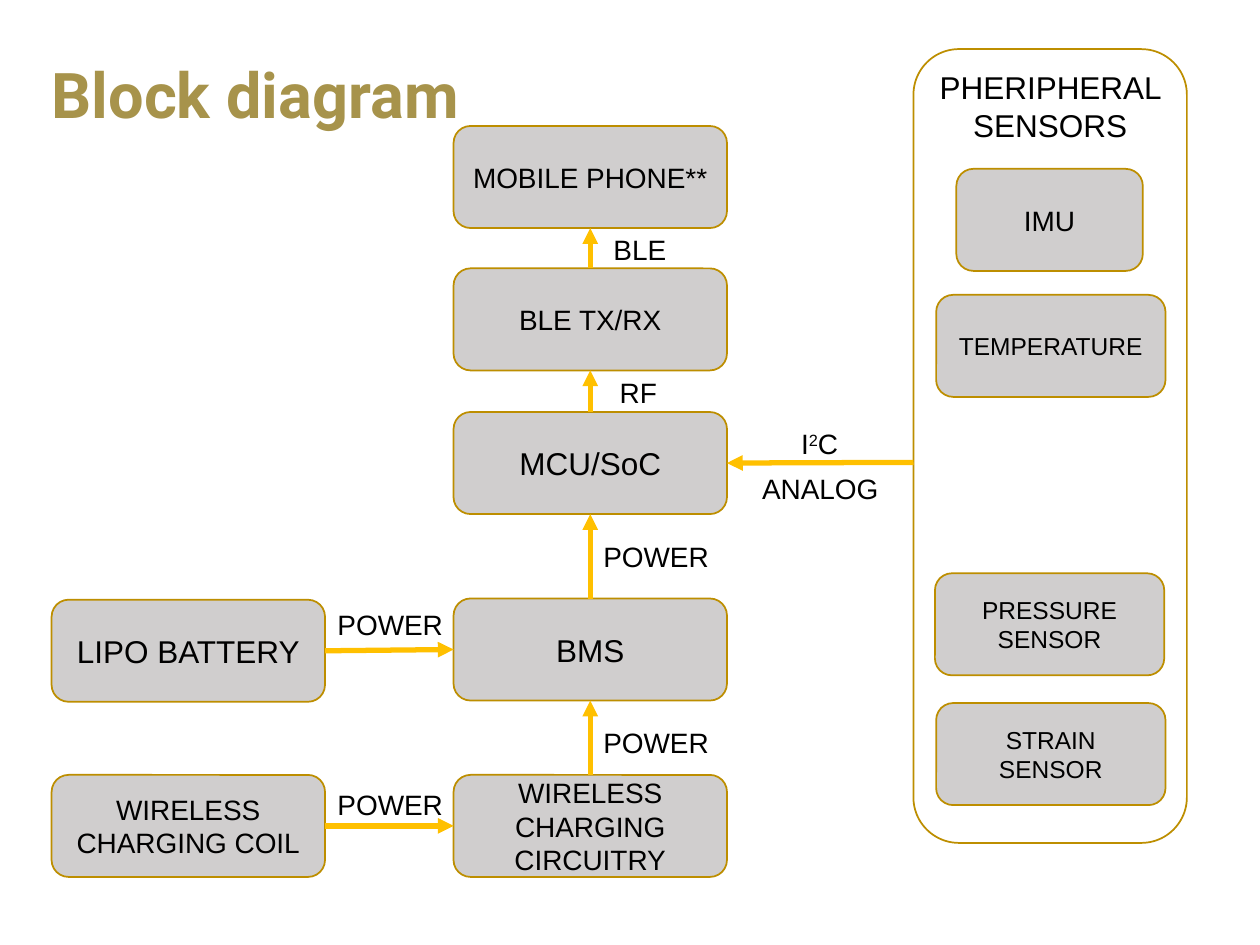
from lxml import etree
from pptx import Presentation
from pptx import util as u
from pptx.dml.color import RGBColor
from pptx.enum import shapes, text
from pptx.oxml import ns

COLORS = {"title": "A7934B", "block": "D0CECE", "outline": "BD8E00",
          "arrow": "FFC000", "text": "000000"}
BLOCK_HEIGHT = 0.81
CORE_X, SOURCE_X, CORE_WIDTH = 3.6, 0.41, 2.17
SENSOR_X, SENSOR_WIDTH = 7.43, 1.82
PANEL_X = 7.25
TOP, LEFT, BOTTOM, RIGHT = range(4)


def add_run(paragraph, wording, size, font="Arial", color="text"):
    run = paragraph.add_run()
    run.text = wording
    run.font.size = u.Pt(size)
    run.font.name = font
    run.font.color.rgb = RGBColor.from_string(COLORS[color])
    return run


def add_box(left, top, width, height):
    box = slide.shapes.add_shape(
        shapes.MSO_SHAPE.ROUNDED_RECTANGLE,
        u.Inches(left), u.Inches(top), u.Inches(width), u.Inches(height))
    box.shadow.inherit = False
    box.fill.background()
    box.line.color.rgb = RGBColor.from_string(COLORS["outline"])
    box.line.width = u.Pt(1)
    return box


prs = Presentation()
prs.slide_width = u.Inches(10)
prs.slide_height = u.Inches(7.5)
slide = prs.slides.add_slide(prs.slide_layouts[5])

title = slide.shapes.title
title.left, title.top = u.Inches(0.31), u.Inches(0.22)
title.width, title.height = u.Inches(9.38), u.Inches(1.11)
title.text_frame.vertical_anchor = text.MSO_ANCHOR.MIDDLE
heading = title.text_frame.paragraphs[0]
heading.alignment = text.PP_ALIGN.LEFT
heading.line_spacing = 0.9
add_run(heading, "Block diagram", 36, "Roboto", "title").font.bold = True

add_box(PANEL_X, 0.39, CORE_WIDTH, 6.3)

blocks = {}
for key, left, top, width, size, lines in [
    ("phone", CORE_X, 1, CORE_WIDTH, 16, ["MOBILE PHONE**"]),
    ("ble", CORE_X, 2.13, CORE_WIDTH, 16, ["BLE TX/RX"]),
    ("mcu", CORE_X, 3.27, CORE_WIDTH, 18, ["MCU/SoC"]),
    ("bms", CORE_X, 4.75, CORE_WIDTH, 18, ["BMS"]),
    ("circuitry", CORE_X, 6.15, CORE_WIDTH, 16, ["WIRELESS CHARGING CIRCUITRY"]),
    ("battery", SOURCE_X, 4.76, CORE_WIDTH, 18, ["LIPO BATTERY"]),
    ("coil", SOURCE_X, 6.15, CORE_WIDTH, 16, ["WIRELESS", "CHARGING COIL"]),
    ("imu", 7.59, 1.34, 1.48, 16, ["IMU"]),
    ("temperature", SENSOR_X, 2.34, SENSOR_WIDTH, 14, ["TEMPERATURE"]),
    ("pressure", 7.42, 4.55, SENSOR_WIDTH, 14, ["PRESSURE", "SENSOR"]),
    ("strain", SENSOR_X, 5.58, SENSOR_WIDTH, 14, ["STRAIN", "SENSOR"]),
]:
    block = add_box(left, top, width, BLOCK_HEIGHT)
    block.fill.solid()
    block.fill.fore_color.rgb = RGBColor.from_string(COLORS["block"])
    frame = block.text_frame
    frame.word_wrap = True
    for i, line in enumerate(lines):
        paragraph = frame.add_paragraph() if i else frame.paragraphs[0]
        paragraph.alignment = text.PP_ALIGN.CENTER
        add_run(paragraph, line, size)
    blocks[key] = block

for source, exit_side, target, entry_side in [
    ("ble", TOP, "phone", BOTTOM),
    ("mcu", TOP, "ble", BOTTOM),
    ("bms", TOP, "mcu", BOTTOM),
    ("circuitry", TOP, "bms", BOTTOM),
    ("battery", RIGHT, "bms", LEFT),
    ("coil", RIGHT, "circuitry", LEFT),
    ("sensors", LEFT, "mcu", RIGHT),
]:
    arrow = slide.shapes.add_connector(
        shapes.MSO_CONNECTOR.STRAIGHT,
        u.Inches(PANEL_X), u.Inches(3.67), u.Inches(5.78), u.Inches(3.67))
    if source in blocks:
        arrow.begin_connect(blocks[source], exit_side)
    arrow.end_connect(blocks[target], entry_side)
    arrow.line.color.rgb = RGBColor.from_string(COLORS["arrow"])
    arrow.line.width = u.Pt(3)
    etree.SubElement(arrow.line._get_or_add_ln(), ns.qn("a:tailEnd"), type="triangle")
    etree.SubElement(arrow._element.spPr, ns.qn("a:effectLst"))

for left, top, width, height, size, align, pieces in [
    (PANEL_X, 0.49, CORE_WIDTH, 0.71, 18, "CENTER", ["PHERIPHERAL SENSORS"]),
    (4.77, 1.8, 1.09, 0.37, 16, "LEFT", ["BLE"]),
    (4.82, 2.93, 1.09, 0.37, 16, "LEFT", ["RF"]),
    (6.26, 3.34, 0.51, 0.37, 16, "LEFT", ["I", "2", "C"]),
    (5.95, 3.69, 1.15, 0.37, 16, "LEFT", ["ANALOG"]),
    (4.69, 4.23, 1.09, 0.37, 16, "LEFT", ["POWER"]),
    (4.69, 5.71, 1.09, 0.37, 16, "LEFT", ["POWER"]),
    (2.58, 4.77, 1.09, 0.37, 16, "LEFT", ["POWER"]),
    (2.58, 6.2, 1.09, 0.37, 16, "LEFT", ["POWER"]),
]:
    label = slide.shapes.add_textbox(
        u.Inches(left), u.Inches(top), u.Inches(width), u.Inches(height))
    label.text_frame.word_wrap = True
    label.text_frame.auto_size = text.MSO_AUTO_SIZE.SHAPE_TO_FIT_TEXT
    paragraph = label.text_frame.paragraphs[0]
    paragraph.alignment = text.PP_ALIGN[align]
    for piece in pieces:
        run = add_run(paragraph, piece, size)
        if piece == "2":
            run.font._element.set("baseline", "30000")

prs.save("out.pptx")
